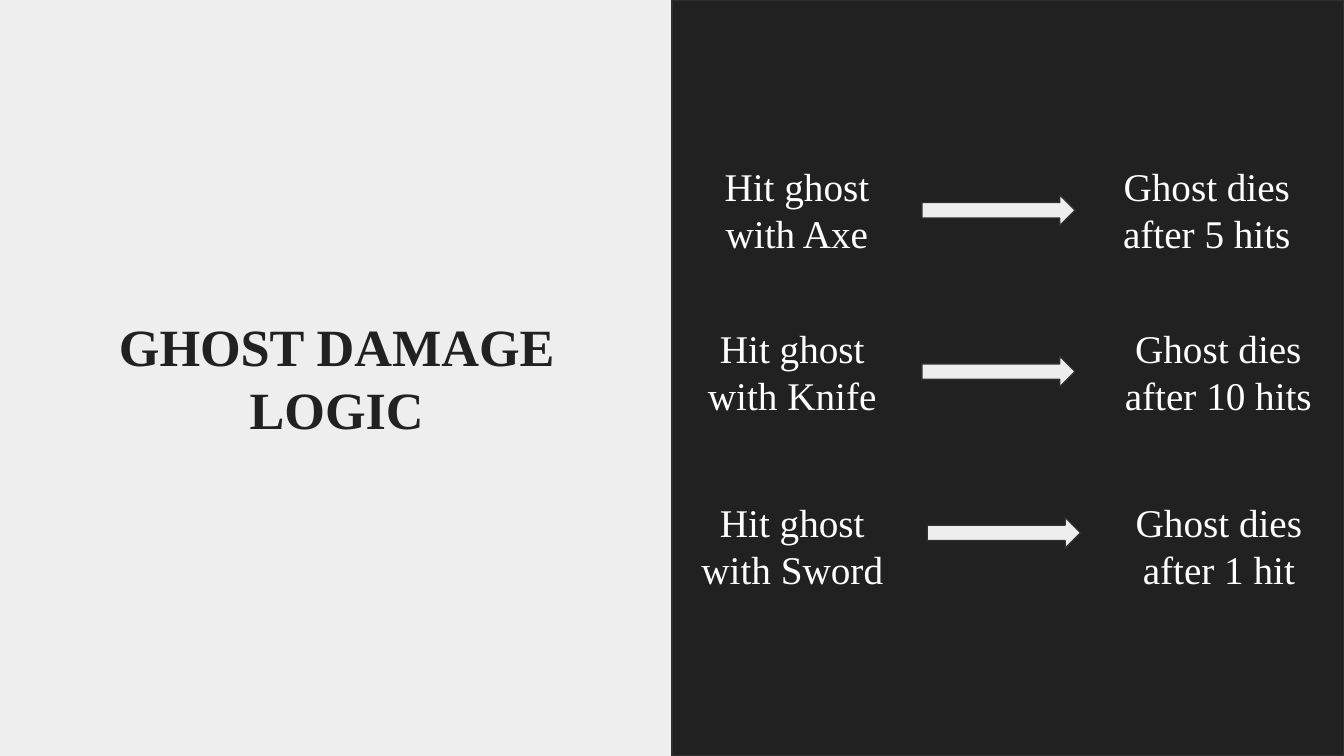
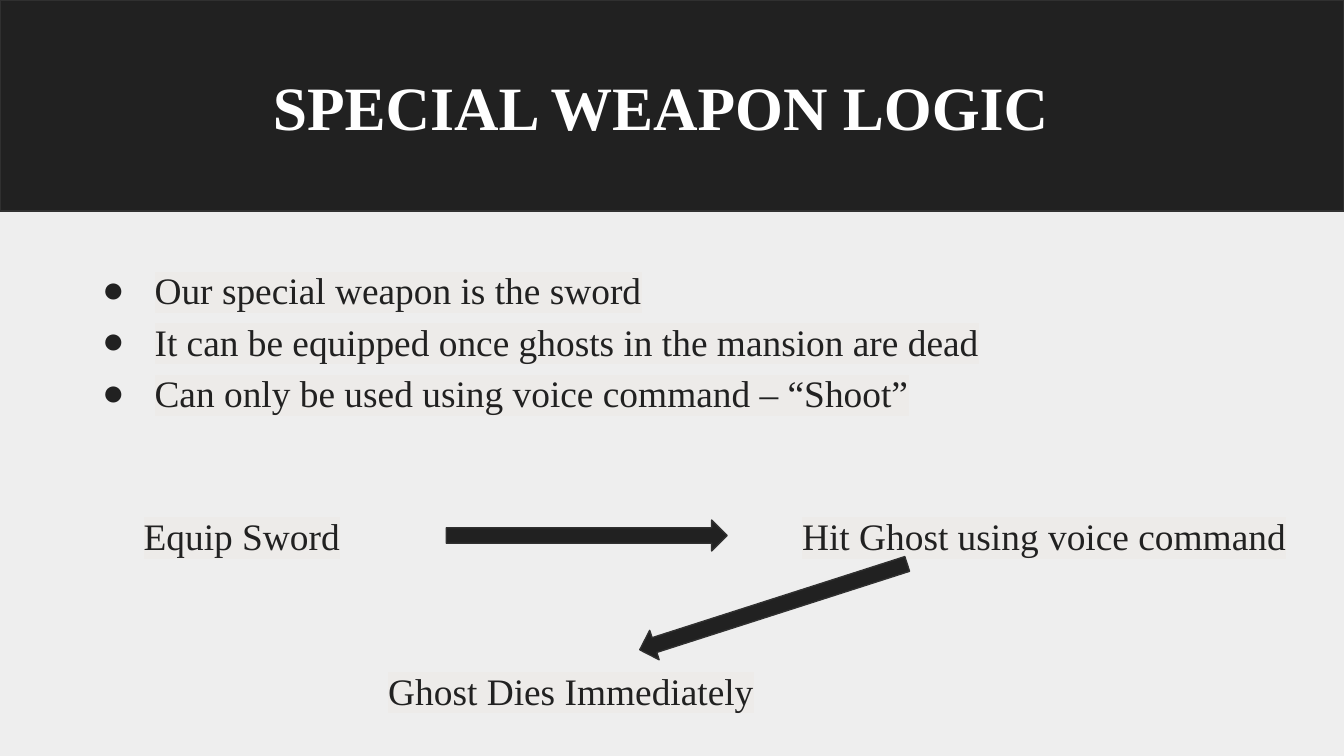
from pptx import Presentation
from pptx.dml.color import RGBColor
from pptx.enum.shapes import MSO_SHAPE as Shape
from pptx.enum.text import MSO_ANCHOR as Anchor, MSO_AUTO_SIZE as Fit, PP_ALIGN as Align
from pptx.oxml.ns import qn
from pptx.util import Inches, Pt
from lxml.etree import SubElement as Sub

# Shared look
DARK = RGBColor(0x21, 0x21, 0x21)
EDGE = RGBColor(0x30, 0x30, 0x30)
PALE = RGBColor(0xEE, 0xEE, 0xEE)
WHITE = RGBColor(0xFF, 0xFF, 0xFF)
MARK = RGBColor(0xED, 0xEB, 0xE9)
FACE = "Times New Roman"
WIDTH = 10
HEIGHT = WIDTH * 9 / 16

HEAD = {"size": Pt(28), "bold": True, "color": DARK}
BANNER = {"size": Pt(33), "bold": True, "color": WHITE}
STEP = {"size": Pt(21), "color": WHITE}
NOTE = {"size": Pt(20), "color": DARK}


def style(font, look):
    for key, value in {"name": FACE, **look}.items():
        if key == "color":
            font.color.rgb = value
        else:
            setattr(font, key, value)


def mark(run):
    """Put the highlight right after the text fill, as the schema orders."""
    props = run._r.get_or_add_rPr()
    light = props.makeelement(qn("a:highlight"), {})
    Sub(light, qn("a:srgbClr"), val=str(MARK))
    props.find(qn("a:solidFill")).addnext(light)


def bullet(para):
    props = para._p.get_or_add_pPr()
    for key, value in {"marL": 0.5, "indent": -0.39}.items():
        props.set(key, str(Inches(value)))
    Sub(Sub(props, qn("a:buClr")), qn("a:srgbClr"), val=str(DARK))
    Sub(props, qn("a:buFont"), typeface=FACE)
    Sub(props, qn("a:buChar"), char="●")


def write(shape, box, lines, look, align=Align.LEFT, space=1.0, lit=False, dots=False):
    """Place a text shape in its box and fill it with formatted lines."""
    shape.left, shape.top, shape.width, shape.height = map(Inches, box)
    frame = shape.text_frame
    form = {"word_wrap": True, "auto_size": Fit.SHAPE_TO_FIT_TEXT, "vertical_anchor": Anchor.TOP}
    form.update({f"margin_{side}": Inches(0.1) for side in ("left", "top", "right", "bottom")})
    for key, value in form.items():
        setattr(frame, key, value)
    for i, line in enumerate(lines):
        para = frame.add_paragraph() if i else frame.paragraphs[0]
        layout = {"alignment": align, "line_spacing": space,
                  "space_before": Pt(0), "space_after": Pt(0)}
        for key, value in layout.items():
            setattr(para, key, value)
        run = para.add_run()
        run.text = line
        style(run.font, look)
        if lit:
            mark(run)
        if dots:
            bullet(para)


def label(slide, box, text, look, **form):
    write(slide.shapes.add_textbox(*map(Inches, box)), box, [text], look, **form)


def block(slide, kind, box, fill, turn=0):
    shape = slide.shapes.add_shape(kind, *map(Inches, box))
    shape.shadow.inherit = False
    shape.fill.solid()
    shape.fill.fore_color.rgb = fill
    shape.line.color.rgb = EDGE
    shape.line.width = Pt(0.75)
    shape.rotation = turn
    return shape


def start(deck, layout, band):
    """Add a slide with the pale ground and a dark band behind its text."""
    slide = deck.slides.add_slide(deck.slide_layouts[layout])
    slide.background.fill.solid()
    slide.background.fill.fore_color.rgb = PALE
    panel = block(slide, Shape.RECTANGLE, band, DARK)
    slide.shapes._spTree.insert(2, panel._element)
    return slide


def steps(slide, left, top):
    """Three rows of cause, arrow and effect."""
    # row offset, cause, its width, effect, its offset and width, arrow offset
    rows = [
        (0, "Hit ghost with Axe", 1.86, "Ghost dies after 5 hits", 2.96, 2.04, 1.86),
        (1.2, "Hit ghost with Knife", 1.79, "Ghost dies after 10 hits", 3.17, 1.79, 1.86),
        (2.5, "Hit ghost with Sword", 1.79, "Ghost dies after 1 hit", 3.14, 1.86, 1.9),
    ]
    for i, (drop, cause, wide, effect, x, span, tail) in enumerate(rows):
        y = top + drop
        label(slide, (left, y, wide, 0.91), cause, STEP, align=Align.CENTER)
        label(slide, (left + x, y, span, 0.91), effect, STEP, align=Align.CENTER)
        # Arrows keep an even pitch
        arrow = (left + tail, top + 0.34 + 1.2 * i, 1.14, 0.23)
        block(slide, Shape.RIGHT_ARROW, arrow, PALE)


def flow(slide, left, top):
    """Sword, hit and death, joined by two arrows."""
    notes = [
        (0, 0, 1.82, "Equip Sword"),
        (4.9, 0, 3.83, "Hit Ghost using voice command"),
        (1.82, 1.15, 3.07, "Ghost Dies Immediately"),
    ]
    for x, y, wide, text in notes:
        label(slide, (left + x, top + y, wide, 0.54), text, NOTE, space=1.15, lit=True)
    for x, y, turn in [(2.35, 0.2, 0), (3.74, 0.73, 162.2)]:
        block(slide, Shape.RIGHT_ARROW, (left + x, top + y, 2.09, 0.23), DARK, turn)


def damage(deck):
    half = WIDTH / 2
    slide = start(deck, 5, (half, 0, half, HEIGHT))
    write(slide.shapes.title, (0.3, 2.24, 4.41, 1.14), ["GHOST DAMAGE LOGIC"],
          HEAD, align=Align.CENTER)
    steps(slide, half, 1.11)


def weapon(deck):
    slide = start(deck, 1, (0, 0, WIDTH, 1.57))
    write(slide.shapes.title, (1.93, 0.41, 6.14, 0.76), ["SPECIAL WEAPON LOGIC"], BANNER)
    points = [
        "Our special weapon is the sword",
        "It can be equipped once ghosts in the mansion are dead",
        "Can only be used using voice command – “Shoot”",
    ]
    write(slide.placeholders[1], (0.55, 1.84, 8.91, 1.36), points, NOTE,
          space=1.15, lit=True, dots=True)
    flow(slide, 0.97, 3.67)


def main():
    deck = Presentation()
    deck.slide_width, deck.slide_height = Inches(WIDTH), Inches(HEIGHT)
    damage(deck)
    weapon(deck)
    deck.save("out.pptx")


if __name__ == "__main__":
    main()
